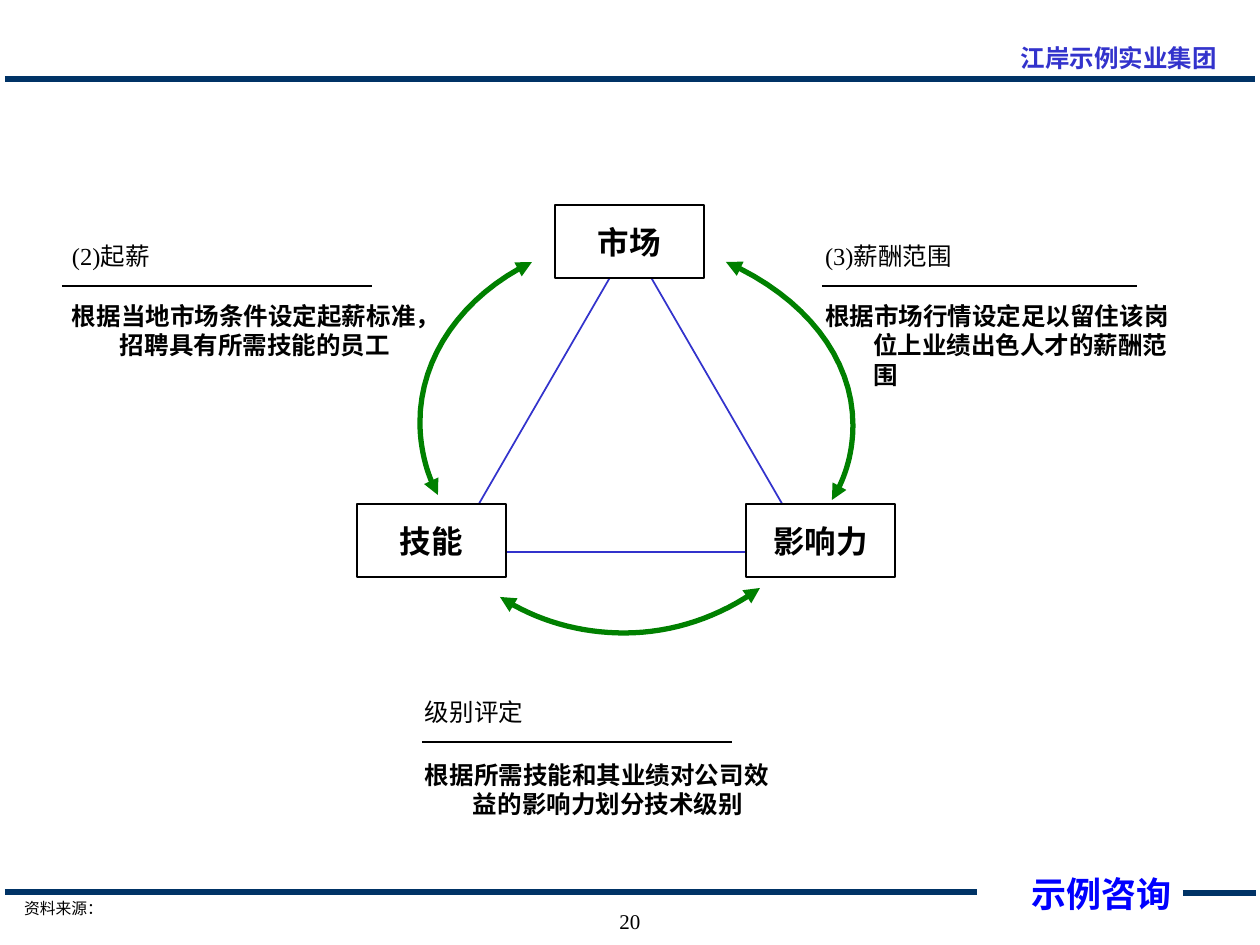
"""Build the slide on how market, skills and influence set pay."""
from pptx import Presentation
from pptx.dml.color import RGBColor
from pptx.enum.shapes import MSO_CONNECTOR, MSO_SHAPE as SHAPE
from pptx.enum.text import MSO_ANCHOR as ANCHOR, PP_ALIGN as ALIGN
from pptx.oxml.ns import qn
from pptx.util import Pt
from lxml.etree import SubElement

PX = 914400 / 126
NAVY = RGBColor(0x00, 0x33, 0x66)
INDIGO = RGBColor(0x33, 0x33, 0xCC)
BLUE = RGBColor(0x00, 0x00, 0xFF)
GREEN = RGBColor(0x00, 0x80, 0x00)
BLACK = RGBColor(0x00, 0x00, 0x00)
WHITE = RGBColor(0xFF, 0xFF, 0xFF)


def emu(*lengths):
    return [round(n * PX) for n in lengths]


def write(sp, text, size, color=BLACK, bold=False, align=ALIGN.LEFT,
          anchor=ANCHOR.TOP, inset=(0, 0), wrap=True, spacing=None, hang=0):
    tf = sp.text_frame
    x, y = emu(*inset)
    frame = {"margin_left": x, "margin_right": x, "margin_top": y, "margin_bottom": y,
             "word_wrap": wrap, "vertical_anchor": anchor}
    for name, value in frame.items():
        setattr(tf, name, value)
    p = tf.paragraphs[0]
    p.alignment, p.line_spacing = align, spacing
    if hang:
        indent = emu(hang)[0]
        pPr = p._p.get_or_add_pPr()
        pPr.set("marL", str(indent))
        pPr.set("indent", str(-indent))
    r = p.add_run()
    r.text = text
    for name, value in {"name": "Times New Roman", "size": Pt(size), "bold": bold}.items():
        setattr(r.font, name, value)
    r.font.color.rgb = color


prs = Presentation()
prs.slide_width, prs.slide_height = emu(1260, 945)
s = prs.slides.add_slide(prs.slide_layouts[6])

rules = [
    (5, 977, 892, NAVY, 3),
    (5, 1255, 79, NAVY, 3),
    (1183, 1256, 893, NAVY, 3),
    (62, 372, 286, BLACK, 1),
    (822, 1137, 286, BLACK, 1),
    (422, 732, 742, BLACK, 1),
]
for left, right, y, color, width in rules:
    line = s.shapes.add_connector(MSO_CONNECTOR.STRAIGHT, *emu(left, y, right, y))
    line.line.color.rgb, line.line.width = color, Pt(width)
    SubElement(line._element.spPr, qn("a:effectLst"))

pad = (13, 6)
labels = [
    ((998, 42, 242, 38), "江岸示例实业集团", 14,
     {"color": INDIGO, "bold": True, "align": ALIGN.CENTER, "inset": pad, "spacing": 0.84}),
    ((11, 895, 108, 29), "资料来源：", 9,
     {"anchor": ANCHOR.MIDDLE, "inset": pad, "spacing": 0.84}),
    ((1031, 872, 145, 42), "示例咨询", 20, {"color": BLUE, "bold": True}),
    ((499, 903, 262, 32), "20", 12, {"align": ALIGN.CENTER, "inset": pad}),
]
notes = [
    (825, 241, 301, 88, "(3)薪酬范围", "根据市场行情设定足以留住该岗位上业绩出色人才的薪酬范围"),
    (425, 697, 760, 59, "级别评定", "根据所需技能和其业绩对公司效益的影响力划分技术级别"),
    (72, 241, 301, 59, "(2)起薪", "根据当地市场条件设定起薪标准，招聘具有所需技能的员工"),
]
for x, head_y, body_y, height, heading, body in notes:
    labels.append(((x, head_y, 233, 29), heading, 14, {"hang": 48}))
    labels.append(((x, body_y, 345, height), body, 14, {"bold": True, "hang": 48}))
for box, text, size, style in labels:
    write(s.shapes.add_textbox(*emu(*box)), text, size, **style)

triangle = s.shapes.add_shape(SHAPE.ISOSCELES_TRIANGLE, *emu(451, 242, 359, 310))
triangle.shadow.inherit = False
triangle.fill.background()
triangle.line.color.rgb, triangle.line.width = INDIGO, Pt(1)

arcs = [
    [(726, 262), (805, 297), (853, 358), (853, 425), (853, 450), (847, 476), (832, 500)],
    [(532, 262), (462, 296), (420, 357), (420, 422), (420, 447), (426, 473), (438, 495)],
    [(500, 597), (537, 621), (580, 633), (624, 633), (673, 633), (720, 617), (760, 588)],
]
STEPS = 16
for arc in arcs:
    points = []
    for curve in (arc[:4], arc[3:]):
        for i in range(1, STEPS + 1):
            t = i / STEPS
            weights = ((1 - t) ** 3, 3 * t * (1 - t) ** 2, 3 * t * t * (1 - t), t ** 3)
            points.append(emu(*(sum(w * n for w, n in zip(weights, axis))
                                for axis in zip(*curve))))
    builder = s.shapes.build_freeform(*emu(*arc[0]))
    builder.add_line_segments(points, close=False)
    sp = builder.convert_to_shape()
    sp.shadow.inherit = False
    sp.fill.background()
    sp.line.color.rgb, sp.line.width = GREEN, Pt(3)
    ln = sp.line._get_or_add_ln()
    SubElement(ln, qn("a:round"))
    for end in ("a:headEnd", "a:tailEnd"):
        SubElement(ln, qn(end), type="triangle")

for x, y, text in [(357, 504, "技能"), (555, 205, "市场"), (746, 504, "影响力")]:
    sp = s.shapes.add_shape(SHAPE.RECTANGLE, *emu(x, y, 149, 73))
    sp.shadow.inherit = False
    sp.fill.solid()
    sp.fill.fore_color.rgb = WHITE
    sp.line.color.rgb, sp.line.width = BLACK, Pt(0.75)
    write(sp, text, 18, bold=True, align=ALIGN.CENTER, anchor=ANCHOR.MIDDLE,
          inset=pad, wrap=False)

prs.save("out.pptx")
